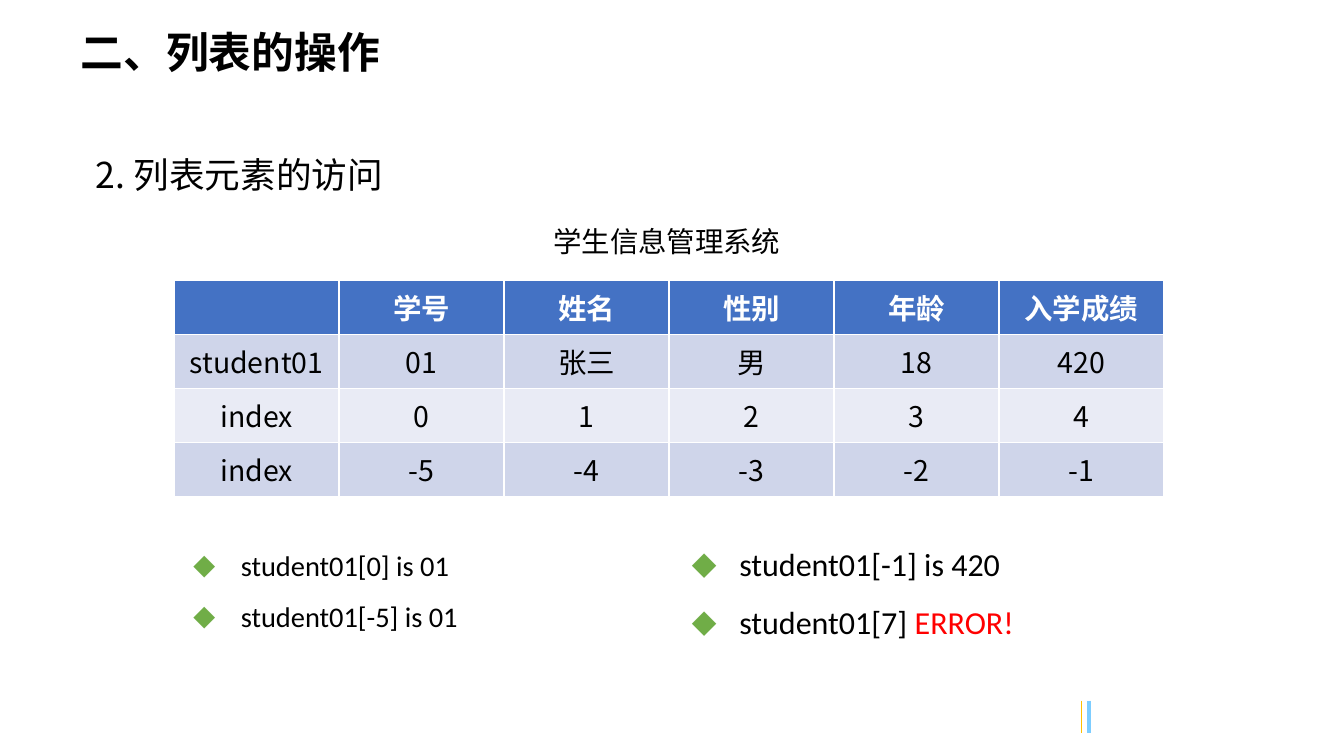
from pptx import Presentation
from pptx.dml.color import RGBColor
from pptx.enum.shapes import MSO_CONNECTOR
from pptx.enum.text import MSO_ANCHOR, MSO_AUTO_SIZE, PP_ALIGN
from pptx.oxml.xmlchemy import OxmlElement as Element
from pptx.util import Cm, Pt

COLORS = {
    "text": "000000", "header_text": "FFFFFF", "error": "FF0000", "bullet": "70AD47",
    "header": "4472C4", "odd_row": "CFD5EA", "even_row": "E9EBF5",
    "blue": "7DCDFF", "gold": "FFC000",
}
CJK, LATIN = "Noto Sans CJK SC", "Calibri"

TITLE = "二、列表的操作"
SUBHEADING = "2. 列表元素的访问"
CAPTION = "学生信息管理系统"
STUDENT_ROWS = [
    ["", "学号", "姓名", "性别", "年龄", "入学成绩"],
    ["student01", "01", "张三", "男", "18", "420"],
    ["index", "0", "1", "2", "3", "4"],
    ["index", "-5", "-4", "-3", "-2", "-1"],
]
# left, top, width, height in cm; text size; lines made of (text, colour) pieces
EXAMPLES = [
    ((3.58, 10.4, 7.47, 2.44), 16, [
        [("student01[0] is 01", "text")],
        [("student01[-5] is 01", "text")],
    ]),
    ((13.46, 10.29, 9.6, 3.33), 18, [
        [("student01[-1] is 420", "text")],
        [("student01[7] ", "text"), ("ERROR!", "error")],
    ]),
]
# x in cm, colour, width in points
FOOTER_LINES = [(21.59, "blue", 2.25), (21.44, "gold", 0.5)]
FOOTER_TOP, FOOTER_BOTTOM = 13.89, 14.53
TABLE_LEFT, TABLE_TOP, COLUMN_WIDTH, ROW_HEIGHT = 3.45, 5.56, 3.27, 1.07


def rgb(color):
    return RGBColor.from_string(COLORS[color])


def apply(target, **values):
    for key, value in values.items():
        setattr(target, key, value)


def add_text(paragraph, text, size, color="text", face=CJK, bold=False):
    run = paragraph.add_run()
    run.text = text
    apply(run.font, name=face, size=Pt(size), bold=bold)
    run.font.color.rgb = rgb(color)
    east_asian = Element("a:ea")
    east_asian.set("typeface", CJK)
    run.font._element.find("{*}latin").addnext(east_asian)


def place(shape, left, top, width, height):
    apply(shape, left=Cm(left), top=Cm(top), width=Cm(width), height=Cm(height))


def add_label(slide, box, text, size, wrap, spacing):
    label = slide.shapes.add_textbox(*map(Cm, box))
    label.text_frame.word_wrap = wrap
    paragraph = label.text_frame.paragraphs[0]
    paragraph.line_spacing = spacing
    add_text(paragraph, text, size)


def add_bullet(paragraph, indent):
    properties = paragraph._p.get_or_add_pPr()
    properties.set("marL", str(indent))
    properties.set("indent", str(-indent))
    color, font, mark = Element("a:buClr"), Element("a:buFont"), Element("a:buChar")
    value = Element("a:srgbClr")
    value.set("val", COLORS["bullet"])
    color.append(value)
    font.set("typeface", LATIN)
    mark.set("char", "◆")
    properties.extend([color, font, mark])


def fill_examples(body, box, size, lines):
    place(body, *box)
    frame = body.text_frame
    apply(frame, auto_size=MSO_AUTO_SIZE.NONE, vertical_anchor=MSO_ANCHOR.TOP)
    for number, pieces in enumerate(lines):
        paragraph = frame.add_paragraph() if number else frame.paragraphs[0]
        apply(paragraph, line_spacing=1.5, space_before=Pt(0))
        add_bullet(paragraph, Cm(0.94))
        for text, color in pieces:
            add_text(paragraph, text, size, color, LATIN)


def add_student_table(slide):
    rows, columns = len(STUDENT_ROWS), len(STUDENT_ROWS[0])
    table = slide.shapes.add_table(
        rows, columns, Cm(TABLE_LEFT), Cm(TABLE_TOP),
        Cm(COLUMN_WIDTH * columns), Cm(ROW_HEIGHT * rows)).table
    for r, values in enumerate(STUDENT_ROWS):
        header = r == 0
        fill = "header" if header else ("odd_row" if r % 2 else "even_row")
        for c, value in enumerate(values):
            cell = table.cell(r, c)
            cell.fill.solid()
            cell.fill.fore_color.rgb = rgb(fill)
            paragraph = cell.text_frame.paragraphs[0]
            paragraph.alignment = PP_ALIGN.CENTER
            if value:
                add_text(paragraph, value, 16,
                         "header_text" if header else "text", bold=header)


def add_footer_line(slide, x, color, width):
    line = slide.shapes.add_connector(
        MSO_CONNECTOR.STRAIGHT, Cm(x), Cm(FOOTER_TOP), Cm(x), Cm(FOOTER_BOTTOM))
    line.line.color.rgb = rgb(color)
    line.line.width = Pt(width)
    line._element.spPr.append(Element("a:effectLst"))


def main():
    deck = Presentation()
    apply(deck, slide_width=Cm(26.64), slide_height=Cm(14.99))
    slide = deck.slides.add_slide(deck.slide_layouts.get_by_name("Two Content"))
    for footer_line in FOOTER_LINES:
        add_footer_line(slide, *footer_line)

    title, *bodies = slide.placeholders
    place(title, 0, 0.05, 26.52, 1.65)
    apply(title.text_frame, margin_left=Cm(1.6), vertical_anchor=MSO_ANCHOR.MIDDLE,
          auto_size=MSO_AUTO_SIZE.NONE)
    heading = title.text_frame.paragraphs[0]
    apply(heading, alignment=PP_ALIGN.LEFT, line_spacing=1.3)
    add_text(heading, TITLE, 24, bold=True)

    add_label(slide, (1.65, 2.49, 9.88, 1.4), SUBHEADING, 20, True, 1.5)
    add_label(slide, (10.72, 4.32, 5.08, 0.94), CAPTION, 16, False, 1.0)
    add_student_table(slide)
    for body, example in zip(bodies, EXAMPLES):
        fill_examples(body, *example)
    deck.save("out.pptx")


if __name__ == "__main__":
    main()
